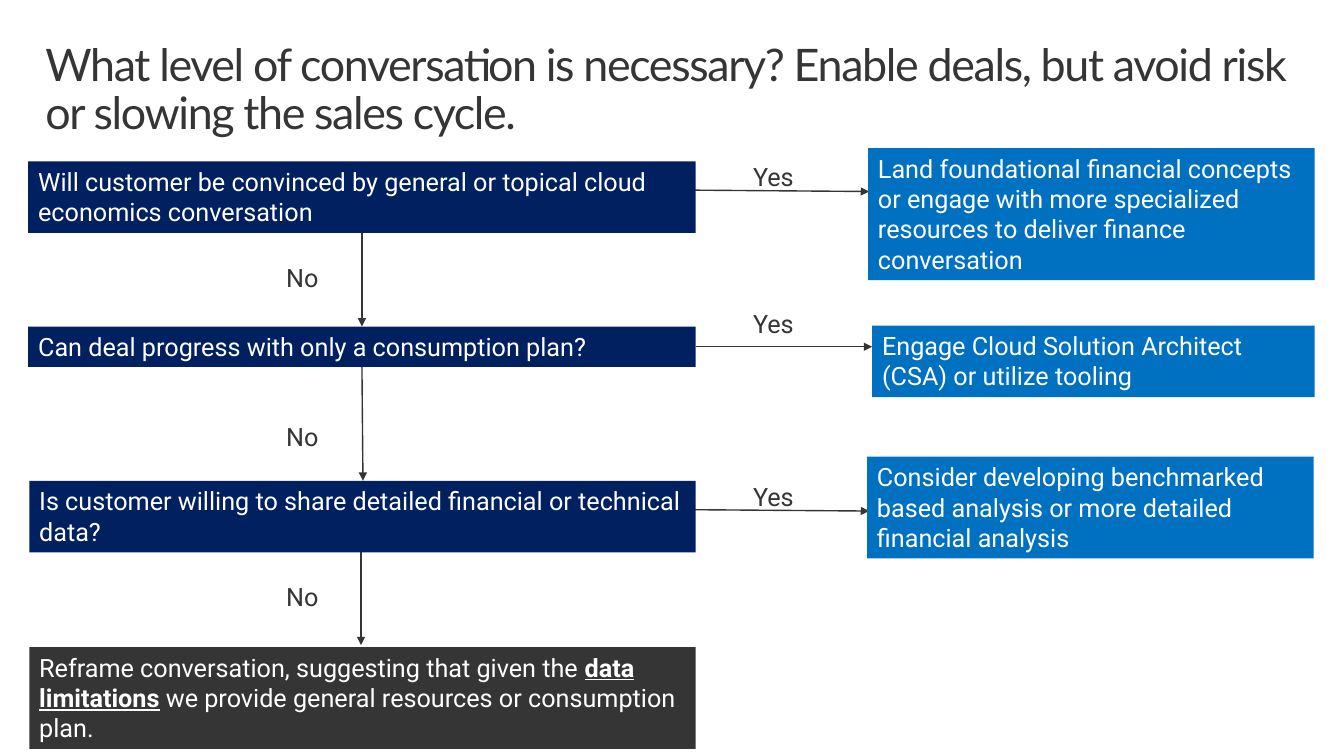
from pptx import Presentation
from pptx.dml.color import RGBColor
from pptx.enum.shapes import MSO_CONNECTOR, MSO_SHAPE
from pptx.enum.text import MSO_ANCHOR, MSO_AUTO_SIZE, PP_ALIGN
from pptx.oxml.ns import qn
from pptx.util import Inches, Pt
from lxml import etree

RECT = MSO_SHAPE.RECTANGLE
STRAIGHT = MSO_CONNECTOR.STRAIGHT
TOP = MSO_ANCHOR.TOP
LEFT = PP_ALIGN.LEFT
FIXED = MSO_AUTO_SIZE.NONE

NAVY, BLUE, DARK, WHITE = "002060", "0070C0", "353535", "FFFFFF"
TITLE = ("What level of conversation is necessary? Enable deals, "
         "but avoid risk or slowing the sales cycle.")

# Each step: question box, question, answer box, answer,
# yes arrow, yes label top, no arrow, no label top
STEPS = [
    ((0.28, 1.6, 6.62, 0.71),
     "Will customer be convinced by general or topical cloud economics conversation",
     (8.61, 1.47, 4.43, 1.31),
     "Land foundational financial concepts or engage with more specialized "
     "resources to deliver finance conversation",
     (4.71, 1.87, 8.62, 1.9), 1.55, (3.59, 2.31, 3.59, 3.24), 2.55),
    ((0.28, 3.24, 6.62, 0.4),
     "Can deal progress with only a consumption plan?",
     (8.65, 3.23, 4.39, 0.71),
     "Engage Cloud Solution Architect (CSA) or utilize tooling",
     (6.9, 3.44, 8.65, 3.44), 3.01, (3.59, 3.64, 3.6, 4.77), 4.13),
    ((0.29, 4.77, 6.61, 0.71),
     "Is customer willing to share detailed financial or technical data?",
     (8.6, 4.53, 4.43, 1.01),
     "Consider developing benchmarked based analysis or more detailed "
     "financial analysis",
     (4.7, 5.04, 8.62, 5.07), 4.73, (3.58, 5.23, 3.58, 6.4), 5.72),
]
END_BOX = (0.29, 6.42, 6.61, 1.01)
END_RUNS = ["Reframe conversation, suggesting that given the ", "data limitations",
            " we provide general resources or consumption plan."]


def color(code):
    return RGBColor.from_string(code)


def style(para, name, size, code):
    para.alignment = LEFT
    para.font.name = name
    para.font.size = Pt(size)
    para.font.color.rgb = color(code)


def write(frame, runs, code):
    """Fill a frame with one paragraph; the second run, if any, is stressed."""
    frame.vertical_anchor = TOP
    para = frame.paragraphs[0]
    for i, text in enumerate(runs):
        run = para.add_run()
        run.text = text
        if i == 1:
            run.font.bold = run.font.underline = True
    style(para, "Roboto", 18, code)


def add_title(slide, box):
    title = slide.shapes.title
    title.left, title.top, title.width, title.height = map(Inches, box)
    frame = title.text_frame
    frame.word_wrap = True
    frame.auto_size = FIXED
    frame.vertical_anchor = TOP
    frame.margin_left = frame.margin_right = Inches(0.16)
    frame.margin_top = frame.margin_bottom = Inches(0.1)
    para = frame.paragraphs[0]
    run = para.add_run()
    run.text = TITLE
    run.font._element.set("spc", "-100")
    para.line_spacing = 0.9
    style(para, "Lato", 32, DARK)


def add_box(slide, box, runs, fill):
    shape = slide.shapes.add_shape(RECT, *map(Inches, box))
    shape.shadow.inherit = False
    shape.fill.solid()
    shape.fill.fore_color.rgb = color(fill)
    shape.line.fill.background()
    shape.text_frame.word_wrap = True
    write(shape.text_frame, runs, WHITE)


def add_label(slide, box, text):
    label = slide.shapes.add_textbox(*map(Inches, box))
    label.text_frame.word_wrap = False
    write(label.text_frame, [text], DARK)


def add_arrow(slide, ends):
    arrow = slide.shapes.add_connector(STRAIGHT, *map(Inches, ends))
    arrow.line.color.rgb = color(DARK)
    arrow.line.width = Pt(1)
    line = arrow.line._get_or_add_ln()
    etree.SubElement(line, qn("a:tailEnd"), type="triangle")
    etree.SubElement(arrow._element.spPr, qn("a:effectLst"))


def add_step(slide, step):
    """Draw arrows first, so that the boxes cover their starts."""
    ask_box, ask, reply_box, reply, yes, yes_top, no, no_top = step
    add_arrow(slide, yes)
    add_arrow(slide, no)
    add_box(slide, ask_box, [ask], NAVY)
    add_box(slide, reply_box, [reply], BLUE)
    add_label(slide, (7.37, yes_top, 0.61, 0.4), "Yes")
    add_label(slide, (2.74, no_top, 0.67, 0.4), "No")


def main():
    deck = Presentation()
    deck.slide_width = Inches(13.33)
    deck.slide_height = Inches(7.5)
    slide = deck.slides.add_slide(deck.slide_layouts[5])
    add_title(slide, (0.29, 0.32, 12.75, 0.98))
    for step in STEPS:
        add_step(slide, step)
    add_box(slide, END_BOX, END_RUNS, DARK)
    deck.save("out.pptx")


if __name__ == "__main__":
    main()
